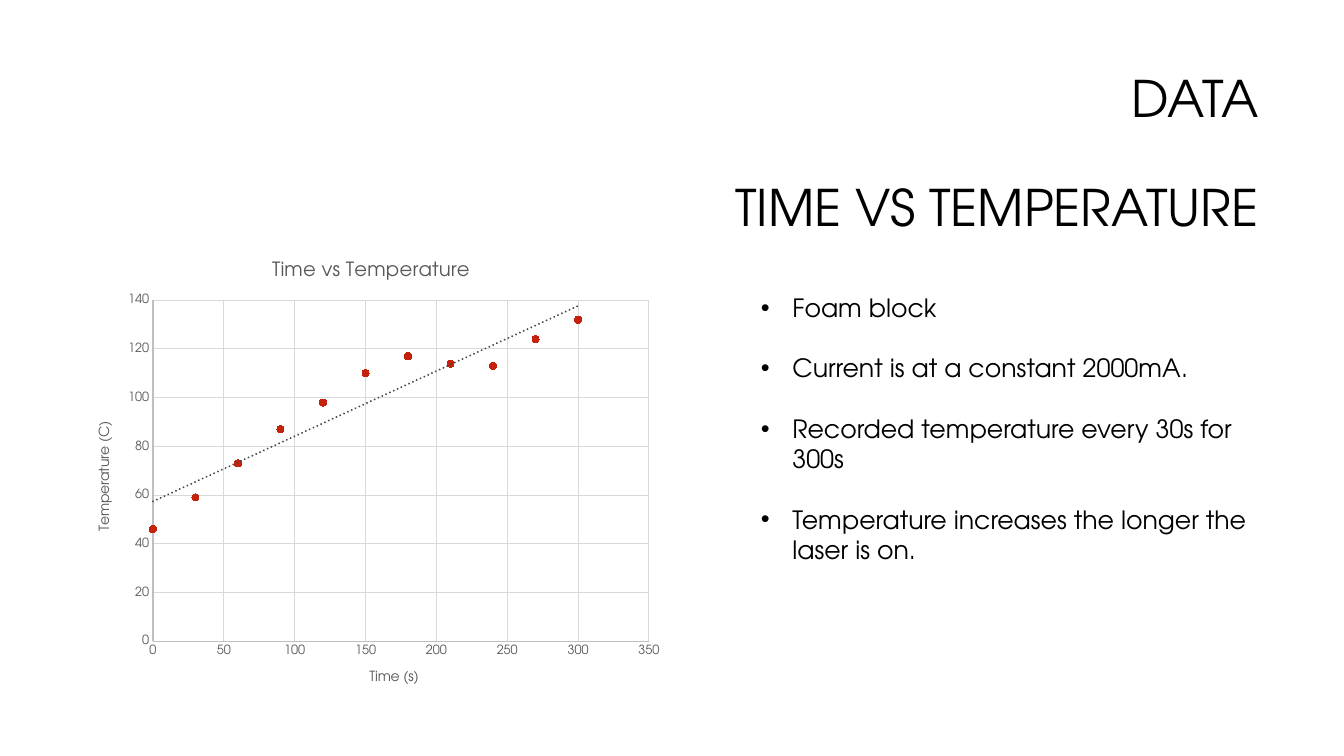
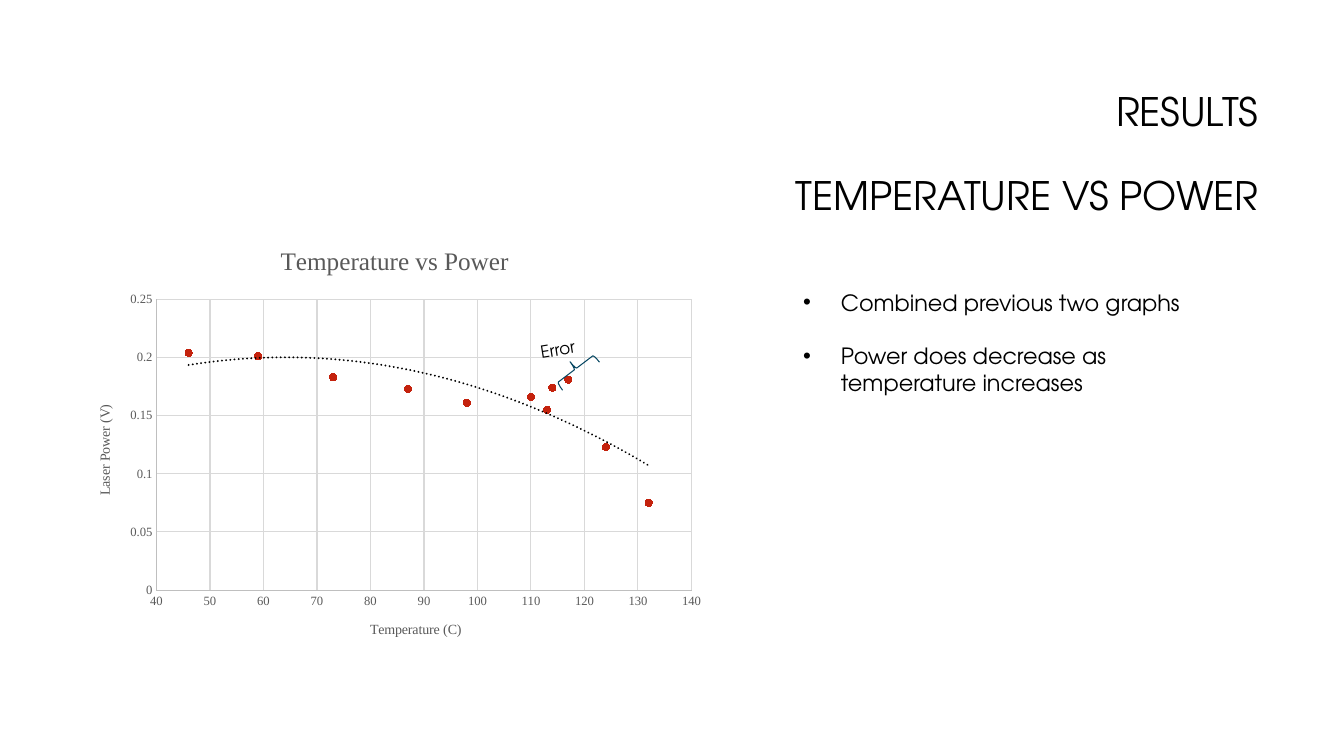
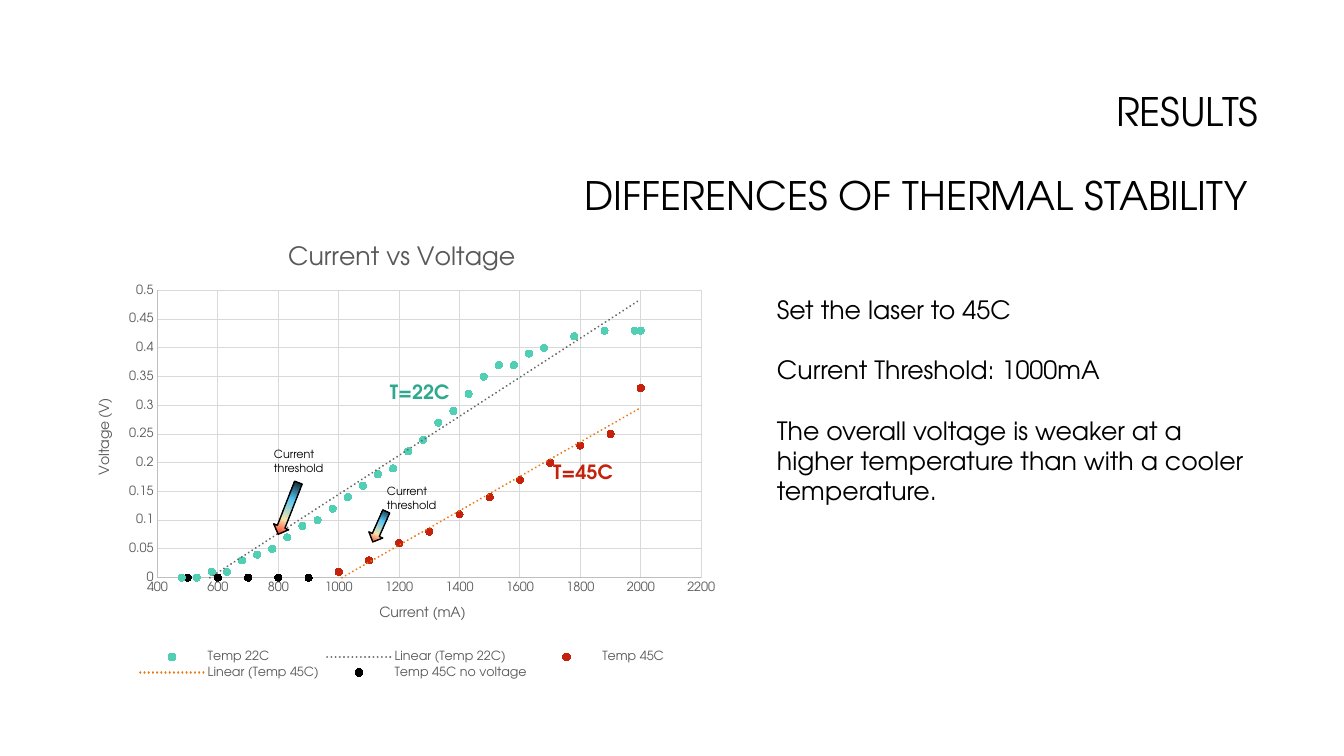
"""Build three slides on laser temperature, power and thermal stability."""
from dataclasses import dataclass

from lxml import etree
from pptx import Presentation
from pptx.chart.data import XyChartData
from pptx.dml.color import RGBColor
from pptx.enum.chart import XL_CHART_TYPE, XL_LEGEND_POSITION, XL_MARKER_STYLE, XL_TICK_MARK
from pptx.enum.shapes import MSO_SHAPE
from pptx.enum.text import MSO_ANCHOR, PP_ALIGN
from pptx.oxml import parse_xml
from pptx.oxml.ns import nsdecls, qn
from pptx.util import Pt

SCATTER = XL_CHART_TYPE.XY_SCATTER
LEGEND_BOTTOM = XL_LEGEND_POSITION.BOTTOM
CIRCLE = XL_MARKER_STYLE.CIRCLE
NO_TICK = XL_TICK_MARK.NONE
DOWN_ARROW = MSO_SHAPE.DOWN_ARROW
LEFT_BRACE = MSO_SHAPE.LEFT_BRACE
RIGHT = PP_ALIGN.RIGHT
TOP, MIDDLE = MSO_ANCHOR.TOP, MSO_ANCHOR.MIDDLE


@dataclass(frozen=True)
class Theme:
    """Colours, fonts and sizes shared by the slides."""
    sans: str = "TeX Gyre Adventor"
    serif: str = "Times New Roman"
    black: str = "000000"
    grey: str = "595959"
    axis: str = "BFBFBF"
    grid: str = "D9D9D9"
    red: str = "C4220D"
    mint: str = "50CFB4"
    green: str = "2EA98F"
    orange: str = "EB7712"
    blue: str = "074762"
    tick_size: int = 9
    axis_title_size: int = 10
    note_size: int = 8
    marker_size: int = 5
    line_height: float = 1.2
    title_spacing: float = 0.9


THEME = Theme()
TITLE_BOX = (228, 60.5, 678, 101.5)
ARROW_STOPS = [(0, "000000"), (36, "56C5F4"), (68, "F7E5AD"), (100, "FF0000")]

TEMPERATURES = [46, 59, 73, 87, 98, 110, 117, 114, 113, 124, 132]
POWERS = [0.204, 0.201, 0.183, 0.173, 0.161, 0.166, 0.181, 0.174, 0.155, 0.123, 0.075]
COOL_CURRENTS = [*range(480, 1681, 50), 1780, 1880, 1980, 2000]
COOL_VOLTAGES = [0, 0, 0.01, 0.01, 0.03, 0.04, 0.05, 0.07, 0.09, 0.1, 0.12, 0.14, 0.16, 0.18,
                 0.19, 0.22, 0.24, 0.27, 0.29, 0.32, 0.35, 0.37, 0.37, 0.39, 0.4, 0.42, 0.43,
                 0.43, 0.43]
WARM_VOLTAGES = [0.33, 0.25, 0.23, 0.2, 0.17, 0.14, 0.11, 0.08, 0.06, 0.03, 0.01]

SLIDES = [
    {
        "title": ["DATA", "TIME VS TEMPERATURE"], "title_size": 36,
        "chart": {
            "box": (54, 172.8, 426.2, 330.5), "plot": (109.3, 214.5, 354.3, 243.6),
            "font": THEME.sans,
            "title": ("Time vs Temperature", 14, (191.8, 182.8)),
            "x_axis": ("Time (s)", (262, 476.3), (0, 350, 50)),
            "y_axis": ("Temperature (C)", (67.5, 299.2), (0, 140, 20)),
            "series": [("Series 1", range(0, 301, 30), TEMPERATURES, THEME.red,
                        ("linear", "454545"))],
        },
        "body": ["Foam block", "Current is at a constant 2000mA.",
                 "Recorded temperature every 30s for 300s",
                 "Temperature increases the longer the laser is on."],
        "body_box": (536.4, 205.2, 362.2, 225.4), "body_size": 18, "indent": 22.5,
    },
    {
        "title": ["RESULTS", "TEMPERATURE VS POWER"], "title_size": 28,
        "chart": {
            "box": (54, 162, 455.8, 308.2), "plot": (111.8, 213.8, 382.2, 207.8),
            "font": THEME.serif,
            "title": ("Temperature vs Power", 18, (197.2, 172)),
            "x_axis": ("Temperature (C)", (262.5, 441.2), (40, 140, 10)),
            "y_axis": ("Laser Power (V)", (66.5, 287.2), (0, 0.25, 0.05)),
            "series": [("Series 1", TEMPERATURES, POWERS, THEME.red, ("poly", THEME.black))],
        },
        "body": ["Combined previous two graphs", "Power does decrease as temperature increases"],
        "body_box": (566.6, 202.8, 331.2, 85.2), "body_size": 16, "indent": 27,
        "brace": ((404.6, 247, 13, 33.1), 52.8),
        "labels": [("Error", (378.7, 235.4, 81.4, 21.6), 12, THEME.black, False, 351)],
    },
    {
        "title": ["RESULTS", "DIFFERENCES OF THERMAL STABILITY "], "title_size": 28,
        "chart": {
            "box": (54, 162, 466.6, 325.4), "plot": (112.5, 207.5, 388.4, 205.2),
            "font": THEME.sans,
            "title": ("Current vs Voltage", 18, (202.5, 170.5)),
            "x_axis": ("Current (mA)", (269.2, 430.3), (400, 2200, 200)),
            "y_axis": ("Voltage (V)", (67.5, 282.8), (0, 0.5, 0.05)),
            "series": [
                ("Temp 22C", COOL_CURRENTS, COOL_VOLTAGES, THEME.mint, ("linear", "656565")),
                ("Temp 45C", range(2000, 999, -100), WARM_VOLTAGES, THEME.red,
                 ("linear", THEME.orange)),
                ("Temp 45C no voltage", range(900, 499, -100), [0] * 5, THEME.black, None),
            ],
        },
        "body": ["Set the laser to 45C", "Current Threshold: 1000mA",
                 "The overall voltage is weaker at a higher temperature than with a cooler "
                 "temperature."],
        "body_box": (547.9, 206.6, 357.8, 198.7), "body_size": 18, "indent": 0,
        "arrows": [((200.2, 343.4, 11.5, 39.6), 21.3), ((265.7, 364.3, 10.8, 23.8), 23.9)],
        "labels": [
            ("Current threshold", (188.6, 316.1, 59, 26.6), THEME.note_size, THEME.black, False, 0),
            ("Current threshold", (269.3, 342.7, 59, 26.6), THEME.note_size, THEME.black, False, 0),
            ("T=22C", (271.4, 267.8, 69.1, 24.5), 14, THEME.green, True, 0),
            ("T=45C", (388.1, 324.7, 72.7, 24.5), 14, THEME.red, True, 0),
        ],
    },
]


def points(box):
    return [Pt(length) for length in box]


def style_font(font, size, color=THEME.black, name=THEME.sans, bold=False):
    font.size, font.name, font.bold = Pt(size), name, bold
    font.color.rgb = RGBColor.from_string(color)


def style_line(line, color, width=0.75):
    line.color.rgb = RGBColor.from_string(color)
    line.width = Pt(width)


def add_text(slide, texts, box, size, color=THEME.black, bold=False, align=None,
             anchor=TOP, spacing=None, indent=0, rotation=0):
    shape = slide.shapes.add_textbox(*points(box))
    shape.rotation = rotation
    frame = shape.text_frame
    frame.word_wrap = True
    frame.vertical_anchor = anchor
    for index, text in enumerate(texts):
        paragraph = frame.paragraphs[0] if index == 0 else frame.add_paragraph()
        paragraph.text = text
        if indent:
            properties = paragraph._p.get_or_add_pPr()
            properties.set("marL", str(Pt(indent)))
            properties.set("indent", str(-Pt(indent)))
            etree.SubElement(properties, qn("a:buFont")).set("typeface", "Arial")
            etree.SubElement(properties, qn("a:buChar")).set("char", "•")
        if index:
            paragraph.space_before = Pt(round(size * THEME.line_height * (spacing or 1), 1))
        if spacing:
            paragraph.line_spacing = spacing
        paragraph.alignment = align
        style_font(paragraph.font, size, color, bold=bold)


def add_outline(slide, kind, box, rotation, color, width):
    shape = slide.shapes.add_shape(kind, *points(box))
    shape.rotation = rotation
    shape.shadow.inherit = False
    shape.fill.background()
    style_line(shape.line, color, width)
    return shape


def add_arrow(slide, box, rotation):
    shape = add_outline(slide, DOWN_ARROW, box, rotation, THEME.black, 1)
    stops = "".join(f'<a:gs pos="{position * 1000}"><a:srgbClr val="{color}"/></a:gs>'
                    for position, color in ARROW_STOPS)
    gradient = parse_xml(f'<a:gradFill {nsdecls("a")} rotWithShape="1"><a:gsLst>{stops}</a:gsLst>'
                         '<a:lin ang="5400000" scaled="0"/></a:gradFill>')
    properties = shape.element.spPr
    properties.replace(properties.find(qn("a:noFill")), gradient)


def place(element, chart_box, box):
    """Set the manual layout of a chart part from its place on the slide."""
    left, top, width, height = chart_box
    values = {"x": (box[0] - left) / width, "y": (box[1] - top) / height}
    modes = '<c:xMode val="edge"/><c:yMode val="edge"/>'
    if len(box) == 4:
        values.update(w=box[2] / width, h=box[3] / height)
        modes = '<c:layoutTarget val="inner"/>' + modes
    sizes = "".join(f'<c:{key} val="{value:.4f}"/>' for key, value in values.items())
    layout = parse_xml(f'<c:layout {nsdecls("c")}><c:manualLayout>{modes}{sizes}'
                       '</c:manualLayout></c:layout>')
    previous = element.find(qn("c:layout"))
    if previous is not None:
        element.remove(previous)
    text = element.find(qn("c:tx"))
    element.insert(0 if text is None else 1, layout)


def set_title(title, text, size, font_name, chart_box, position, turn=0):
    paragraph = title.text_frame.paragraphs[0]
    paragraph.text = text
    style_font(paragraph.font, size, THEME.grey, font_name)
    title.element.find(".//" + qn("a:bodyPr")).set("rot", str(turn * 60000))
    place(title.element, chart_box, position)


def style_axis(axis, content, font_name, chart_box, turn):
    text, position, (low, high, step) = content
    axis.minimum_scale, axis.maximum_scale, axis.major_unit = low, high, step
    axis.major_tick_mark = axis.minor_tick_mark = NO_TICK
    axis.has_major_gridlines = True
    style_line(axis.major_gridlines.format.line, THEME.grid)
    style_line(axis.format.line, THEME.axis)
    axis.tick_labels.number_format = "General"
    axis.tick_labels.number_format_is_linked = False
    style_font(axis.tick_labels.font, THEME.tick_size, THEME.grey, font_name)
    axis.has_title = True
    set_title(axis.axis_title, text, THEME.axis_title_size, font_name, chart_box, position, turn)


def add_trend(series, kind, color):
    order = '<c:order val="2"/>' if kind == "poly" else ""
    trend = parse_xml(
        f'<c:trendline {nsdecls("c", "a")}><c:spPr><a:ln w="{Pt(1.5)}" cap="rnd"><a:solidFill>'
        f'<a:srgbClr val="{color}"/></a:solidFill><a:prstDash val="sysDot"/></a:ln></c:spPr>'
        f'<c:trendlineType val="{kind}"/>{order}<c:dispRSqr val="0"/><c:dispEq val="0"/>'
        '</c:trendline>')
    series._element.find(qn("c:xVal")).addprevious(trend)


def add_scatter(slide, content):
    box, font_name = content["box"], content["font"]
    data = XyChartData()
    for name, x_values, y_values, _, _ in content["series"]:
        series_data = data.add_series(name)
        for x, y in zip(x_values, y_values):
            series_data.add_data_point(x, y)
    chart = slide.shapes.add_chart(SCATTER, *points(box), data).chart
    style_font(chart.font, THEME.axis_title_size, name=font_name)
    chart.plots[0].vary_by_categories = False
    chart.has_title = True
    text, size, position = content["title"]
    set_title(chart.chart_title, text, size, font_name, box, position)
    style_axis(chart.category_axis, content["x_axis"], font_name, box, 0)
    style_axis(chart.value_axis, content["y_axis"], font_name, box, -90)
    place(chart.element.find(".//" + qn("c:plotArea")), box, content["plot"])
    chart.has_legend = len(content["series"]) > 1
    if chart.has_legend:
        chart.legend.position = LEGEND_BOTTOM
        chart.legend.include_in_layout = False
        style_font(chart.legend.font, THEME.tick_size, THEME.grey, font_name)
    for series, (_, _, _, color, trend) in zip(chart.plots[0].series, content["series"]):
        series.format.line.fill.background()
        series.smooth = False
        marker = series.marker
        marker.style, marker.size = CIRCLE, THEME.marker_size
        marker.format.fill.solid()
        marker.format.fill.fore_color.rgb = RGBColor.from_string(color)
        style_line(marker.format.line, color)
        if trend:
            add_trend(series, *trend)


def build_slide(presentation, content):
    slide = presentation.slides.add_slide(presentation.slide_layouts[6])
    add_text(slide, content["title"], TITLE_BOX, content["title_size"], align=RIGHT,
             anchor=MIDDLE, spacing=THEME.title_spacing)
    add_scatter(slide, content["chart"])
    add_text(slide, content["body"], content["body_box"], content["body_size"],
             indent=content["indent"])
    if "brace" in content:
        add_outline(slide, LEFT_BRACE, *content["brace"], THEME.blue, 0.75)
    for box, rotation in content.get("arrows", []):
        add_arrow(slide, box, rotation)
    for text, box, size, color, bold, rotation in content.get("labels", []):
        add_text(slide, [text], box, size, color, bold, rotation=rotation)


def main():
    presentation = Presentation()
    presentation.slide_width, presentation.slide_height = Pt(960), Pt(540)
    for content in SLIDES:
        build_slide(presentation, content)
    presentation.save("out.pptx")


if __name__ == "__main__":
    main()
